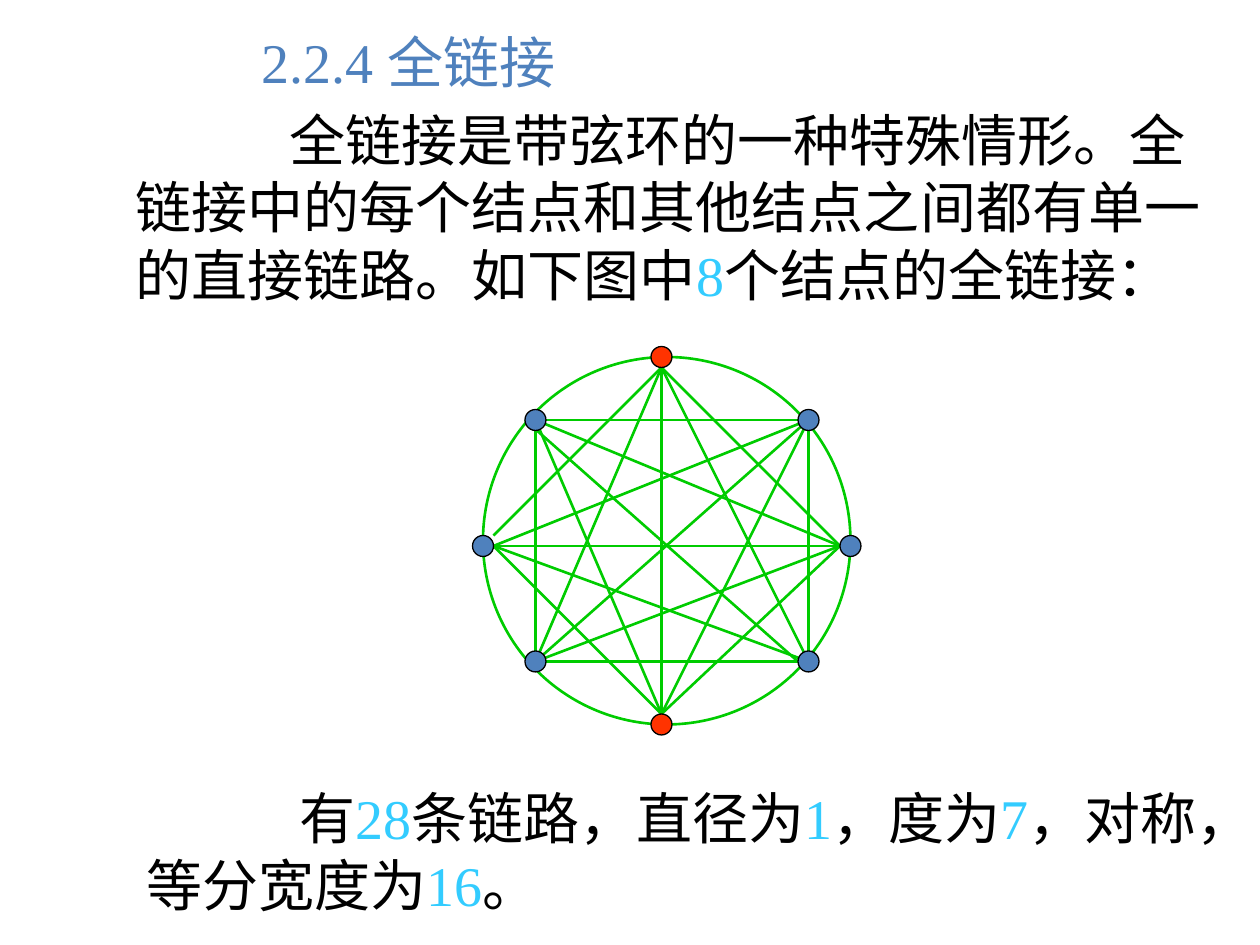
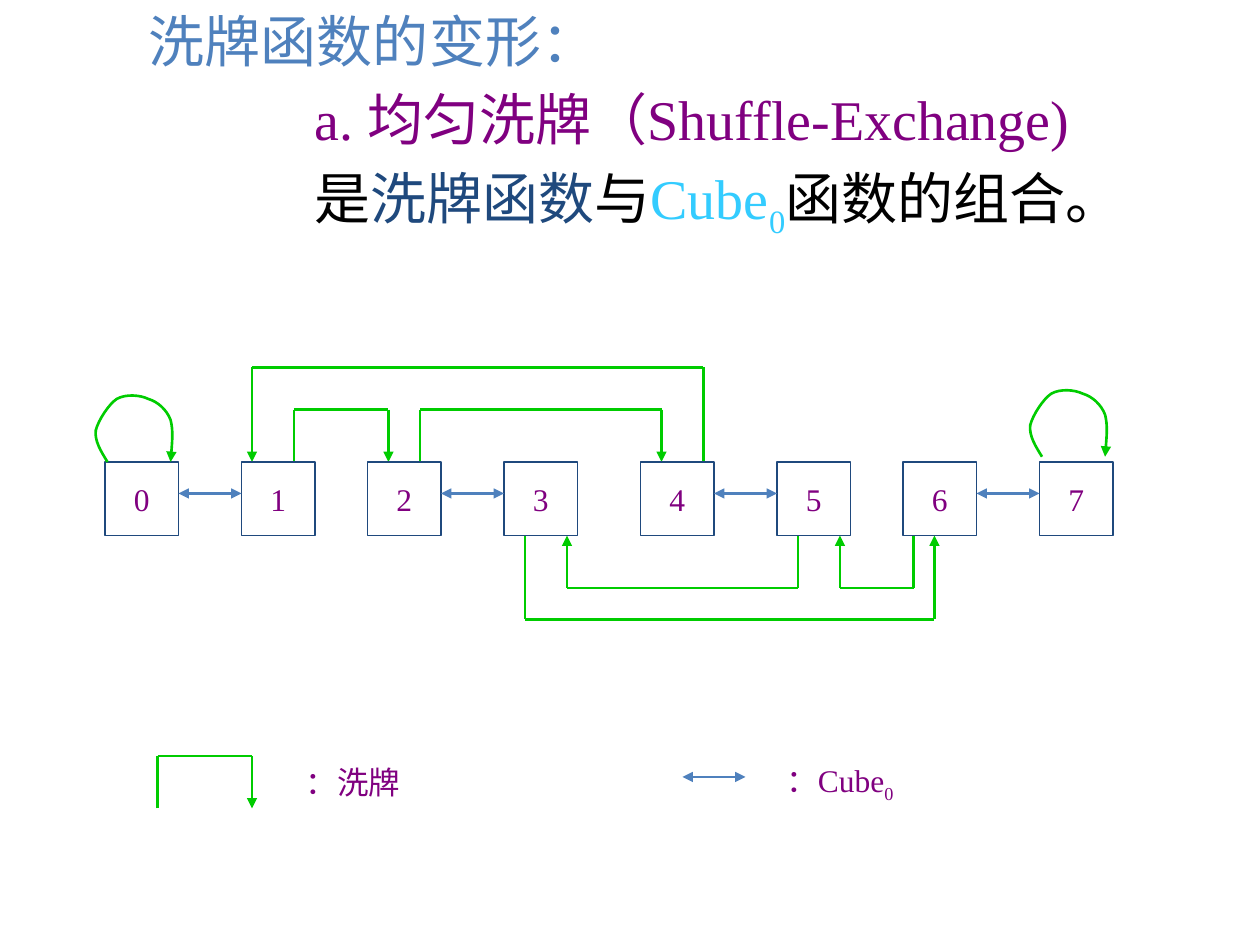
from itertools import combinations

from pptx import Presentation
from pptx.dml.color import RGBColor
from pptx.enum.shapes import MSO_CONNECTOR, MSO_SHAPE
from pptx.enum.text import MSO_ANCHOR, PP_ALIGN
from pptx.oxml.ns import qn
from pptx.oxml.xmlchemy import OxmlElement
from pptx.util import Pt

EMU_PER_PX = 9525
FONT = "Times New Roman"
BODY_SIZE, LABEL_SIZE = 32, 18

BLACK = "000000"
BLUE = "4F81BD"
NAVY = "1F497D"
CYAN = "33CCFF"
GREEN = "00CC00"
RED = "FF3300"
PURPLE = "800080"

STRAIGHT = MSO_CONNECTOR.STRAIGHT
OVAL, RECTANGLE = MSO_SHAPE.OVAL, MSO_SHAPE.RECTANGLE
CENTER, MIDDLE = PP_ALIGN.CENTER, MSO_ANCHOR.MIDDLE

LEFT_MARGIN = 78
HANGING, TABBED, TABBED_DEEP = -30, 96, 117

NODE_SIZE = 16
BOX_SIZE, BOX_TOP = 56, 352
BOX_BOTTOM = BOX_TOP + BOX_SIZE


def px(value):
    return int(value * EMU_PER_PX)


def color(hex_string):
    return RGBColor.from_string(hex_string)


def set_line(line, line_color, width, arrows=()):
    line.color.rgb = color(line_color)
    line.width = Pt(width)
    for end in arrows:
        arrow = OxmlElement(f"a:{end}")
        arrow.set("type", "triangle")
        line._get_or_add_ln().append(arrow)


def add_runs(paragraph, runs, size):
    for text, text_color, *subscript in runs:
        run = paragraph.add_run()
        run.text = text
        run.font.name = FONT
        run.font.size = Pt(size)
        run.font.color.rgb = color(text_color)
        if subscript:
            run._r.get_or_add_rPr().set("baseline", "-25000")


def add_body(slide, left, top, width, height, paragraphs):
    shape = slide.shapes.add_textbox(px(left), px(top), px(width), px(height))
    frame = shape.text_frame
    frame.word_wrap = True
    for index, (indent, runs) in enumerate(paragraphs):
        paragraph = frame.add_paragraph() if index else frame.paragraphs[0]
        properties = paragraph._p.get_or_add_pPr()
        properties.set("marL", str(px(LEFT_MARGIN)))
        properties.set("indent", str(px(indent)))
        if index:
            paragraph.space_before = Pt(6.4)
        add_runs(paragraph, runs, BODY_SIZE)


def center_label(shape, runs):
    frame = shape.text_frame
    frame.word_wrap = False
    frame.vertical_anchor = MIDDLE
    paragraph = frame.paragraphs[0]
    paragraph.alignment = CENTER
    add_runs(paragraph, runs, LABEL_SIZE)


def add_legend_label(slide, left, width, runs):
    shape = slide.shapes.add_textbox(px(left), px(568), px(width), px(56))
    center_label(shape, runs)


def add_outline(slide, kind, left, top, size, line_color, width, fill=None):
    shape = slide.shapes.add_shape(kind, px(left), px(top), px(size), px(size))
    shape.shadow.inherit = False
    if fill:
        shape.fill.solid()
        shape.fill.fore_color.rgb = color(fill)
    else:
        shape.fill.background()
    set_line(shape.line, line_color, width)
    return shape


def add_line(slide, start, end, line_color=GREEN, arrows=()):
    connector = slide.shapes.add_connector(
        STRAIGHT, *(px(value) for value in (*start, *end)))
    connector._element.spPr.append(OxmlElement("a:effectLst"))
    set_line(connector.line, line_color, 1.5, arrows)


def add_bent_arrow(slide, start_x, end_x, base_y, bend_y):
    add_line(slide, (start_x, base_y), (start_x, bend_y))
    add_line(slide, (start_x, bend_y), (end_x, bend_y))
    add_line(slide, (end_x, bend_y), (end_x, base_y), arrows=["tailEnd"])


def add_double_arrow(slide, left, right, y):
    add_line(slide, (left, y), (right, y), BLUE, ["headEnd", "tailEnd"])


def add_self_loop(slide, shift_x, shift_y):
    points = [(82, 352), (77, 344), (72, 336), (73, 328),
              (75, 320), (83, 308), (89, 304),
              (96, 300), (107, 301), (113, 304),
              (120, 306), (127, 312), (130, 320),
              (132, 328), (131, 340), (130, 352)]
    start, *rest = [(x + shift_x, y + shift_y) for x, y in points]
    builder = slide.shapes.build_freeform(*start, scale=EMU_PER_PX)
    builder.add_line_segments(rest, close=False)
    shape = builder.convert_to_shape()
    segments = list(shape._element.iter(qn("a:lnTo")))
    for index in range(0, len(segments), 3):
        curve = OxmlElement("a:cubicBezTo")
        segments[index].addprevious(curve)
        for segment in segments[index:index + 3]:
            curve.append(segment[0])
            segment.getparent().remove(segment)
    shape.shadow.inherit = False
    shape.fill.background()
    set_line(shape.line, GREEN, 1.5, ["tailEnd"])


def add_full_network(slide):
    add_outline(slide, OVAL, 368, 272, 280, GREEN, 1.5)
    nodes = [(504, 272), (616, 320), (648, 416), (616, 504),
             (504, 552), (408, 504), (368, 416), (408, 320)]
    chord_ends = {0: (504, 280), 2: (640, 416), 4: (504, 544), 6: (376, 416)}
    adjusted = {(0, 6): ((504, 280), (376, 408)),
                (3, 7): ((608, 504), (400, 320))}
    for pair in combinations(range(len(nodes)), 2):
        if pair[1] - pair[0] in (1, len(nodes) - 1):
            continue
        ends = [chord_ends.get(index, nodes[index]) for index in pair]
        add_line(slide, *adjusted.get(pair, ends))
    for index, (x, y) in enumerate(nodes):
        fill = RED if index in (0, 4) else BLUE
        add_outline(slide, OVAL, x - NODE_SIZE / 2, y - NODE_SIZE / 2,
                    NODE_SIZE, BLACK, 0.75, fill)


def build_full_link_slide(slide):
    add_body(slide, 16, 16, 920, 224, [
        (TABBED, [("2.2.4 全链接", BLUE)]),
        (TABBED_DEEP, [
            ("全链接是带弦环的一种特殊情形。全链接中的每个结点和其他结点"
             "之间都有单一的直接链路。如下图中", BLACK),
            ("8", CYAN), ("个结点的全链接：", BLACK)]),
    ])
    add_full_network(slide)
    add_body(slide, 24, 592, 920, 120, [
        (TABBED_DEEP, [
            ("有", BLACK), ("28", CYAN), ("条链路，直径为", BLACK),
            ("1", CYAN), ("，度为", BLACK), ("7", CYAN),
            ("，对称，等分宽度为", BLACK), ("16", CYAN), ("。", BLACK)]),
    ])


def build_shuffle_slide(slide):
    add_body(slide, 56, 0, 792, 200, [
        (HANGING, [("洗牌函数的变形：", BLUE)]),
        (TABBED, [("a. 均匀洗牌（Shuffle-Exchange)", PURPLE)]),
        (TABBED, [("是", BLACK), ("洗牌函数", NAVY), ("与", BLACK),
                  ("Cube", CYAN), ("0", CYAN, True),
                  ("函数的组合。", BLACK)]),
    ])
    for start_x, end_x, bend_y in [(536, 192, 280), (224, 296, 312),
                                   (320, 504, 312)]:
        add_bent_arrow(slide, start_x, end_x, BOX_TOP, bend_y)
    for start_x, end_x, bend_y in [(400, 712, 472), (608, 432, 448),
                                   (696, 640, 448)]:
        add_bent_arrow(slide, start_x, end_x, BOX_BOTTOM, bend_y)

    box_lefts = [80, 184, 280, 384, 488, 592, 688, 792]
    for number, left in enumerate(box_lefts):
        box = add_outline(slide, RECTANGLE, left, BOX_TOP, BOX_SIZE, NAVY, 0.75)
        center_label(box, [(str(number), PURPLE)])
    for left, right in zip(box_lefts[::2], box_lefts[1::2]):
        add_double_arrow(slide, left + BOX_SIZE, right, 376)
    add_self_loop(slide, 0, 0)
    add_self_loop(slide, 712, -4)

    add_bent_arrow(slide, 120, 192, 616, 576)
    add_legend_label(slide, 209, 120, [("：洗牌", PURPLE)])
    add_double_arrow(slide, 520, 568, 592)
    add_legend_label(slide, 578, 124, [("：Cube", PURPLE), ("0", PURPLE, True)])


def main():
    presentation = Presentation()
    presentation.slide_width = px(960)
    presentation.slide_height = px(720)
    blank = presentation.slide_layouts[6]
    for build in (build_full_link_slide, build_shuffle_slide):
        build(presentation.slides.add_slide(blank))
    presentation.save("out.pptx")


if __name__ == "__main__":
    main()
